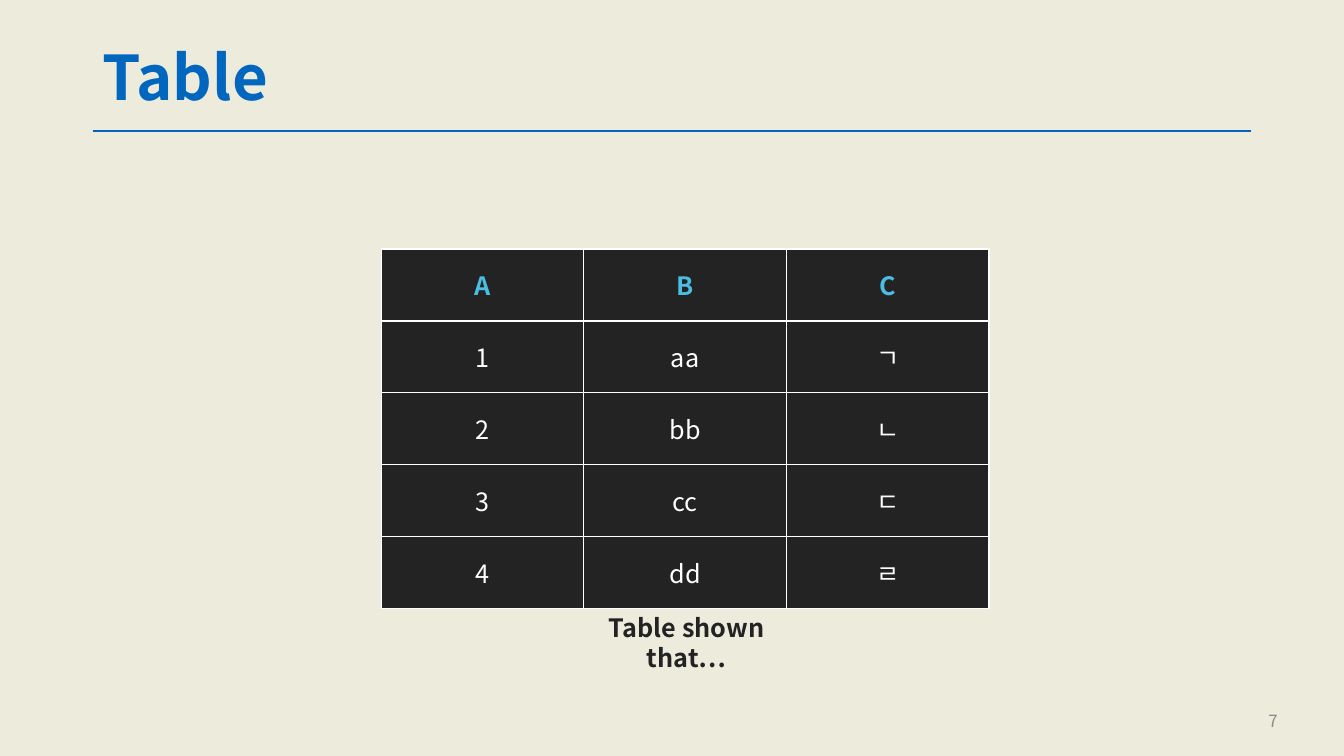
from lxml.etree import SubElement
from pptx import Presentation
from pptx.dml.color import RGBColor
from pptx.enum.shapes import MSO_CONNECTOR
from pptx.enum.text import MSO_ANCHOR, PP_ALIGN
from pptx.oxml.ns import qn
from pptx.util import Inches, Pt

"""Builds a slide with a titled, captioned table."""

FONT = "Noto Sans CJK KR"
BLUE, DARK, CYAN, WHITE, GRAY, CREAM = "0066BE", "232323", "4ABEE2", "FFFFFF", "8C8C8C", "ECEBDC"
WIDTH, HEIGHT = 13.33, 7.5
MARGIN = 0.92
RULE_TOP = 1.3
TABLE_LEFT, TABLE_TOP, COLUMN_WIDTH, ROW_HEIGHT = 3.78, 2.47, 2.01, 0.714

ROWS = [
    ("A", "B", "C"),
    ("1", "aa", "ㄱ"),
    ("2", "bb", "ㄴ"),
    ("3", "cc", "ㄷ"),
    ("4", "dd", "ㄹ"),
]
TEXTS = [
    ("Table", (MARGIN, 0.4, WIDTH - 2 * MARGIN, 0.8), 44, BLUE, True, PP_ALIGN.LEFT, 0.9),
    ("Table shown that…", (5.52, 6.17, 2.58, 0.4), 18, DARK, True, PP_ALIGN.CENTER, 1.0),
    ("7", (9.77, 6.95, 3, 0.4), 12, GRAY, False, PP_ALIGN.RIGHT, 1.0),
]


def color(value):
    return RGBColor.from_string(value)


def write(frame, text, size, ink, bold, align, spacing=1.0):
    para = frame.paragraphs[0]
    span = para.add_run()
    span.text = text
    para.alignment, para.line_spacing = align, spacing
    for font in (para.font, span.font):
        font.name, font.size, font.bold = FONT, Pt(size), bold
        font.color.rgb = color(ink)
    SubElement(span.font._element, qn("a:ea"), typeface=FONT)


def add_borders(cell):
    properties = cell._tc.get_or_add_tcPr()
    for side in ("lnL", "lnR", "lnT", "lnB"):
        border = SubElement(properties, qn(f"a:{side}"), w=str(Pt(1)))
        fill = SubElement(border, qn("a:solidFill"))
        SubElement(fill, qn("a:srgbClr"), val=WHITE)


deck = Presentation()
deck.slide_width, deck.slide_height = Inches(WIDTH), Inches(HEIGHT)
page = deck.slides.add_slide(deck.slide_layouts[6])
page.background.fill.solid()
page.background.fill.fore_color.rgb = color(CREAM)

ends = (MARGIN, RULE_TOP, WIDTH - MARGIN, RULE_TOP)
rule = page.shapes.add_connector(MSO_CONNECTOR.STRAIGHT, *map(Inches, ends))
rule.line.color.rgb = color(BLUE)
rule.line.width = Pt(1.5)
SubElement(rule._element.spPr, qn("a:effectLst"))

for text, place, size, ink, bold, align, spacing in TEXTS:
    box = page.shapes.add_textbox(*map(Inches, place))
    box.text_frame.word_wrap = True
    box.text_frame.vertical_anchor = MSO_ANCHOR.MIDDLE
    write(box.text_frame, text, size, ink, bold, align, spacing)

row_count, column_count = len(ROWS), len(ROWS[0])
area = (TABLE_LEFT, TABLE_TOP, column_count * COLUMN_WIDTH, row_count * ROW_HEIGHT)
table = page.shapes.add_table(row_count, column_count, *map(Inches, area)).table
table.horz_banding = False
for row_index, values in enumerate(ROWS):
    header = row_index == 0
    for column_index, value in enumerate(values):
        cell = table.cell(row_index, column_index)
        add_borders(cell)
        cell.fill.solid()
        cell.fill.fore_color.rgb = color(DARK)
        cell.vertical_anchor = MSO_ANCHOR.MIDDLE
        write(cell.text_frame, value, 18, CYAN if header else WHITE, header, PP_ALIGN.CENTER)

deck.save("out.pptx")
